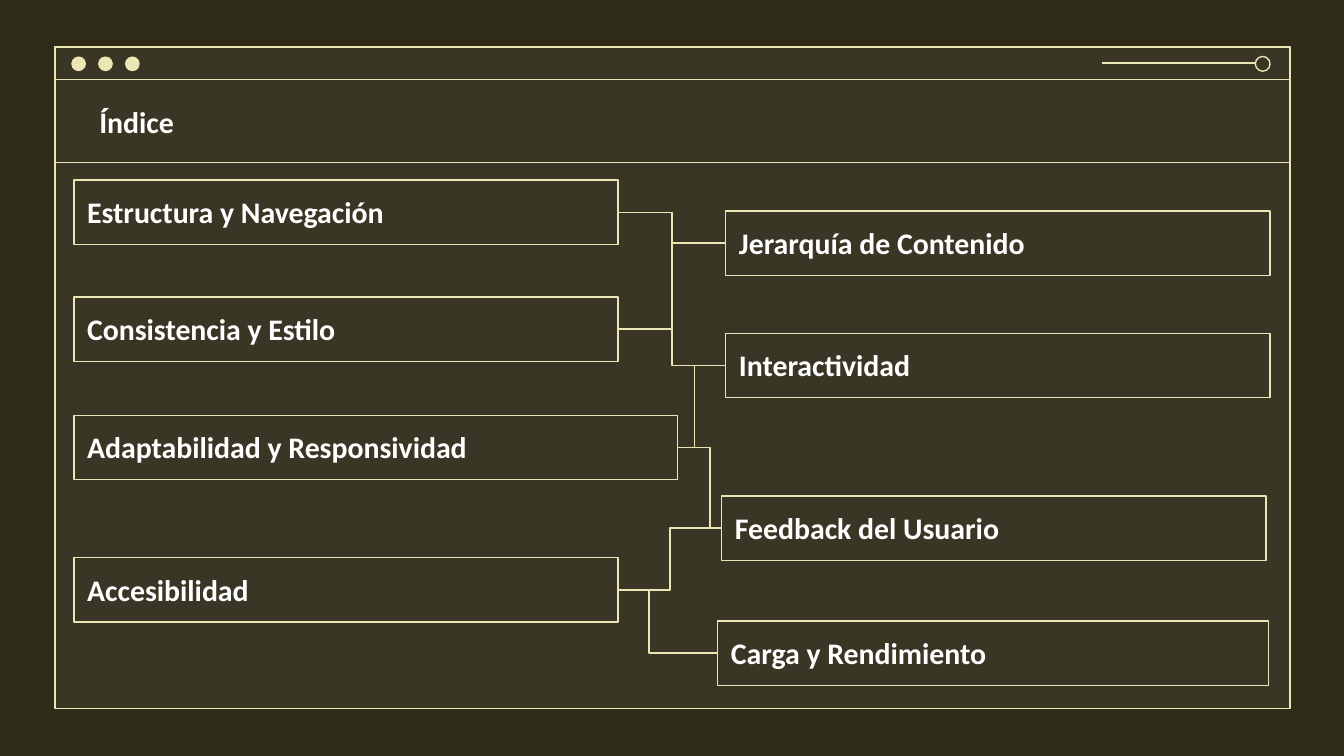
from dataclasses import dataclass

from lxml import etree
from pptx import Presentation
from pptx import util as u
from pptx.dml import color
from pptx.enum import shapes, text
from pptx.oxml import ns


@dataclass(frozen=True)
class Theme:
    background: str = "2F2B19"
    panel: str = "7C7C7C"
    panel_opacity: int = 14
    accent: str = "ECE5B4"
    ink: str = "FFFFFF"
    font: str = "Calibri"
    size: int = 16
    stroke: float = 0.75


THEME = Theme()
LEFT_SITE, RIGHT_SITE = 1, 3  # connection sites of a rectangle


def rgb(value):
    return color.RGBColor.from_string(value)


def inches(*lengths):
    return [u.Inches(n) for n in lengths]


def stroke(line):
    line.color.rgb = rgb(THEME.accent)
    line.width = u.Pt(THEME.stroke)


def add_shape(s, kind, box, fill=None, outlined=True):
    sp = s.shapes.add_shape(kind, *inches(*box))
    sp.shadow.inherit = False
    if fill:
        sp.fill.solid()
        sp.fill.fore_color.rgb = rgb(fill)
    else:
        sp.fill.background()
    if outlined:
        stroke(sp.line)
    else:
        sp.line.fill.background()
    return sp


def add_line(s, start, end, kind=shapes.MSO_CONNECTOR.STRAIGHT):
    line = s.shapes.add_connector(kind, *inches(*start, *end))
    stroke(line.line)
    etree.SubElement(line._element.spPr, ns.qn("a:effectLst"))
    return line


def write(sp, words):
    tf = sp.text_frame
    tf.word_wrap = True
    tf.vertical_anchor = text.MSO_ANCHOR.TOP
    tf.margin_left = tf.margin_right = u.Inches(0.1)
    tf.margin_top = tf.margin_bottom = u.Inches(0.1)
    p = tf.paragraphs[0]
    p.alignment = text.PP_ALIGN.LEFT
    r = p.add_run()
    r.text = words
    r.font.name = THEME.font
    r.font.size = u.Pt(THEME.size)
    r.font.bold = True
    r.font.color.rgb = rgb(THEME.ink)


def add_window(s, box, title):
    x, y, w, h = box
    rect, oval = shapes.MSO_SHAPE.RECTANGLE, shapes.MSO_SHAPE.OVAL
    bar, dot = 0.24, 0.11

    # Translucent panel, frame and title bar
    panel = add_shape(s, rect, box, THEME.panel, outlined=False)
    tint = panel._element.spPr.find(ns.qn("a:solidFill"))[0]
    etree.SubElement(tint, ns.qn("a:alpha"), val=str(THEME.panel_opacity * 1000))
    add_shape(s, rect, box)
    add_shape(s, rect, (x, y, w, bar))

    # Window buttons and slider
    dot_y = y + 0.07
    for i in range(3):
        add_shape(s, oval, (x + 0.12 + 0.2 * i, dot_y, dot, dot),
                  THEME.accent, outlined=False)
    knob_x = x + w - 0.26
    add_shape(s, oval, (knob_x, dot_y, dot, dot))
    add_line(s, (knob_x - 1.14, y + bar / 2), (knob_x, y + bar / 2))

    # Heading with its rule
    add_line(s, (x, y + 0.86), (x + w, y + 0.86))
    write(s.shapes.add_textbox(*inches(x + 0.23, y + 0.32, 4.98, 0.48)), title)


def add_topics(s, box, topics):
    x, y, _, _ = box
    nodes = {}
    for name, dx, dy, width in topics:
        node = add_shape(s, shapes.MSO_SHAPE.RECTANGLE,
                         (x + dx, y + dy, width, 0.48))
        write(node, name)
        nodes[name] = node
    return nodes


def link_topics(s, nodes, links):
    middle = u.Inches(5)
    for start, end, bend in links:
        a, b = nodes[start], nodes[end]
        elbow = add_line(s, (0, 0), (1, 1), shapes.MSO_CONNECTOR.ELBOW)
        elbow.begin_connect(a, RIGHT_SITE if a.left < middle else LEFT_SITE)
        elbow.end_connect(b, RIGHT_SITE if b.left < middle else LEFT_SITE)
        guides = elbow._element.spPr.find(ns.qn("a:prstGeom")).find(ns.qn("a:avLst"))
        etree.SubElement(guides, ns.qn("a:gd"), name="adj1",
                         fmla=f"val {round(bend * 100000)}")


# Topic, offset from the body's corner, width
TOPICS = [
    ("Estructura y Navegación", 0, 0, 4.05),
    ("Jerarquía de Contenido", 4.85, 0.23, 4.05),
    ("Consistencia y Estilo", 0, 0.87, 4.05),
    ("Interactividad", 4.85, 1.14, 4.05),
    ("Adaptabilidad y Responsividad", 0, 1.75, 4.49),
    ("Feedback del Usuario", 4.82, 2.35, 4.05),
    ("Accesibilidad", 0, 2.81, 4.05),
    ("Carga y Rendimiento", 4.79, 3.28, 4.1),
]

# From, to, position of the bend along the way
LINKS = [
    ("Estructura y Navegación", "Jerarquía de Contenido", 0.5),
    ("Consistencia y Estilo", "Jerarquía de Contenido", 0.5),
    ("Consistencia y Estilo", "Interactividad", 0.5),
    ("Interactividad", "Adaptabilidad y Responsividad", 0.65),
    ("Feedback del Usuario", "Adaptabilidad y Responsividad", 0.26),
    ("Accesibilidad", "Feedback del Usuario", 0.5),
    ("Accesibilidad", "Carga y Rendimiento", 0.31),
]


def main():
    prs = Presentation()
    prs.slide_width = u.Inches(10)
    prs.slide_height = u.Inches(10 * 9 / 16)  # widescreen
    s = prs.slides.add_slide(prs.slide_layouts[6])
    s.background.fill.solid()
    s.background.fill.fore_color.rgb = rgb(THEME.background)

    add_window(s, (0.41, 0.35, 9.19, 4.92), "Índice")
    nodes = add_topics(s, (0.55, 1.34, 8.9, 3.76), TOPICS)
    link_topics(s, nodes, LINKS)
    prs.save("out.pptx")


if __name__ == "__main__":
    main()
